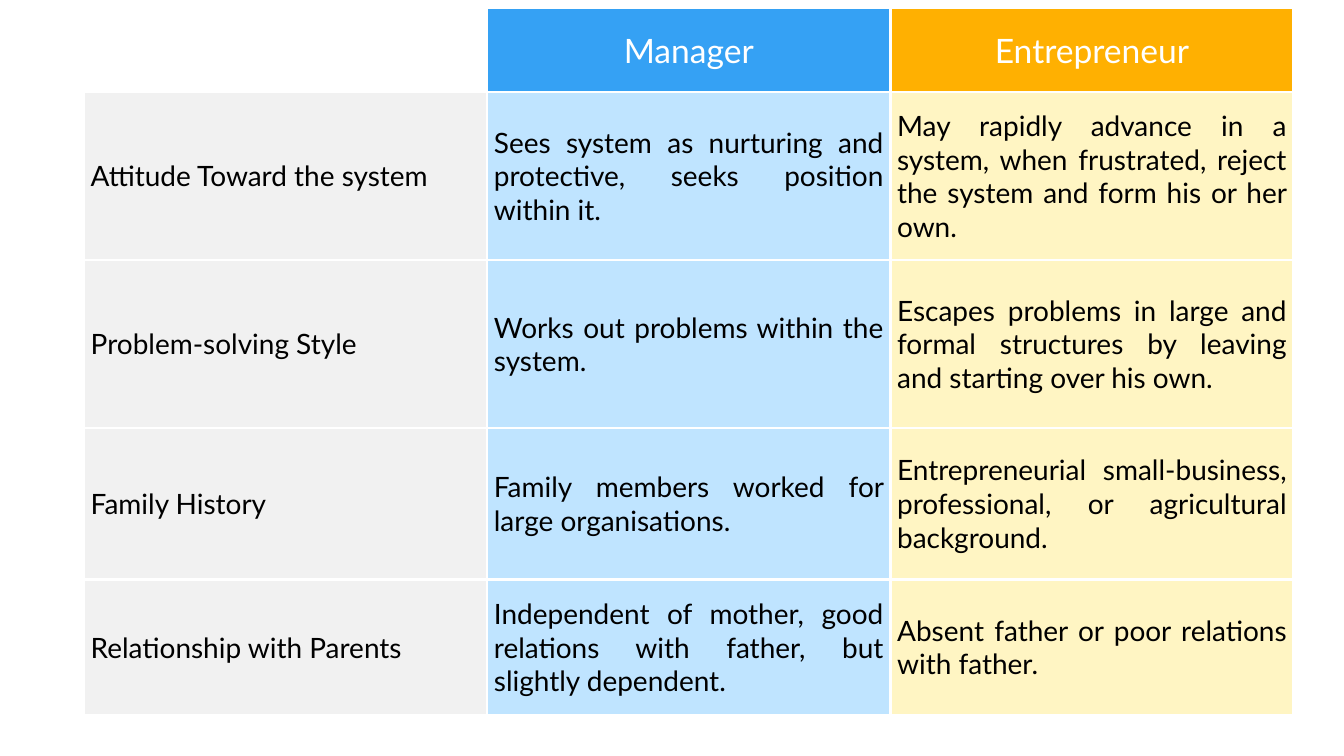
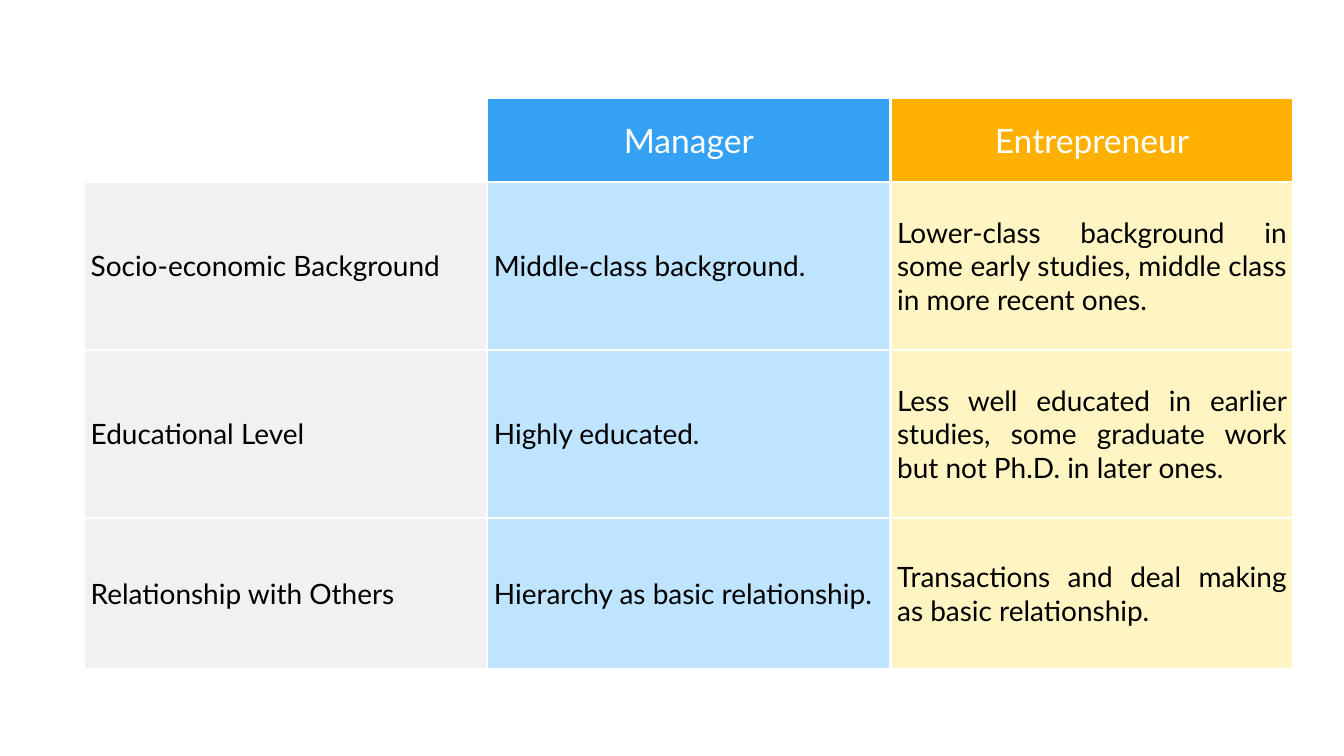
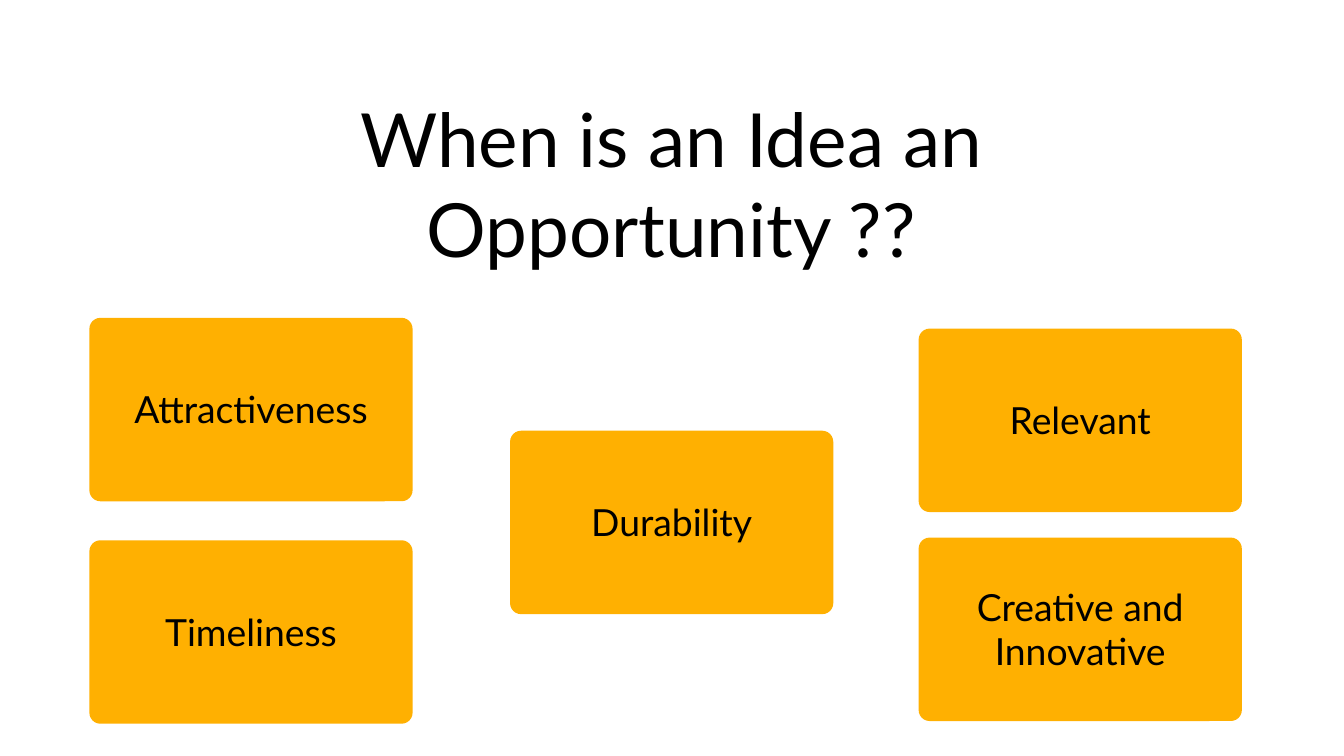
from lxml import etree
from pptx import Presentation
from pptx.dml.color import RGBColor
from pptx.enum.shapes import MSO_SHAPE
from pptx.enum.text import MSO_ANCHOR, MSO_AUTO_SIZE, PP_ALIGN
from pptx.oxml.ns import qn
from pptx.util import Inches, Pt

CENTER, JUSTIFY = PP_ALIGN.CENTER, PP_ALIGN.JUSTIFY
MIDDLE, TOP = MSO_ANCHOR.MIDDLE, MSO_ANCHOR.TOP
ROUNDED = MSO_SHAPE.ROUNDED_RECTANGLE
NO_AUTOFIT = MSO_AUTO_SIZE.NONE
TITLE_ONLY, BLANK = 5, 6

FONT = "Lato"
COLORS = {
    "white": "FFFFFF",
    "black": "000000",
    "blue": "35A1F4",
    "amber": "FFB001",
    "pale_grey": "F1F1F1",
    "pale_blue": "BFE4FF",
    "pale_amber": "FFF5C3",
}

HEADINGS = [(None, None), ("Manager", "blue"), ("Entrepreneur", "amber")]
COLUMN_FILLS = ["pale_grey", "pale_blue", "pale_amber"]
COLUMN_WIDTH = 6
HEADING_HEIGHT = 1.25
BORDER_POINTS = 3

# Each row: height, trait, manager, entrepreneur
PERSONAL_TRAITS = [
    (2.5, "Attitude Toward the system",
     "Sees system as nurturing and protective, seeks position within it.",
     "May rapidly advance in a system, when frustrated, reject the system "
     "and form his or her own."),
    (2.5, "Problem-solving Style",
     "Works out problems within the system.",
     "Escapes problems in large and formal structures by leaving and "
     "starting over his own."),
    (2.25, "Family History",
     "Family members worked for large organisations.",
     "Entrepreneurial small-business, professional, or agricultural background."),
    (2.02, "Relationship with Parents",
     "Independent of mother, good relations with father, but slightly dependent.",
     "Absent father or poor relations with father."),
]
SOCIAL_TRAITS = [
    (2.5, "Socio-economic Background",
     "Middle-class background.",
     "Lower-class background in some early studies, middle class in more "
     "recent ones."),
    (2.5, "Educational Level",
     "Highly educated.",
     "Less well educated in earlier studies, some graduate work but not "
     "Ph.D. in later ones."),
    (2.25, "Relationship with Others",
     "Hierarchy as basic relationship.",
     "Transactions and deal making as basic relationship."),
]

CARD_SIZE = (4.81, 2.73)
CRITERIA = [
    ("Attractiveness", 1.33, 4.73),
    ("Timeliness", 1.33, 8.04),
    ("Durability", 7.59, 6.41),
    ("Relevant", 13.67, 4.89),
    ("Creative and Innovative", 13.67, 8),
]


def rgb(color):
    return RGBColor.from_string(COLORS[color])


def write(frame, text, size, color="black", align=CENTER, leading=None):
    paragraph = frame.paragraphs[0]
    paragraph.alignment = align
    if leading:
        paragraph.line_spacing = Pt(leading)
    run = paragraph.add_run()
    run.text = text
    run.font.name = FONT
    run.font.size = Pt(size)
    run.font.bold = False
    run.font.color.rgb = rgb(color)


def set_insets(frame, side):
    frame.margin_left = frame.margin_right = Inches(side)
    frame.margin_top = frame.margin_bottom = 0


def add_borders(cell):
    properties = cell._tc.get_or_add_tcPr()
    for edge in ("a:lnL", "a:lnR", "a:lnT", "a:lnB"):
        line = etree.SubElement(properties, qn(edge), w=str(Pt(BORDER_POINTS)))
        fill = etree.SubElement(line, qn("a:solidFill"))
        etree.SubElement(fill, qn("a:srgbClr"), val=COLORS["white"])


def format_cell(cell, text, fill, **text_format):
    add_borders(cell)
    cell.vertical_anchor = MIDDLE
    if text is None:
        cell.fill.background()
        return
    cell.fill.solid()
    cell.fill.fore_color.rgb = rgb(fill)
    write(cell.text_frame, text, **text_format)


def add_comparison(slide, left, top, traits):
    heights = [HEADING_HEIGHT] + [trait[0] for trait in traits]
    columns = len(HEADINGS)
    table = slide.shapes.add_table(
        len(heights), columns, Inches(left), Inches(top),
        Inches(COLUMN_WIDTH * columns), Inches(sum(heights))).table
    table.first_row = table.horz_banding = False
    for column in table.columns:
        column.width = Inches(COLUMN_WIDTH)
    for row, height in zip(table.rows, heights):
        row.height = Inches(height)

    for column, (heading, fill) in enumerate(HEADINGS):
        format_cell(table.cell(0, column), heading, fill, size=36, color="white")
    for row, (_, *texts) in enumerate(traits, start=1):
        for column, (text, fill) in enumerate(zip(texts, COLUMN_FILLS)):
            format_cell(table.cell(row, column), text, fill, size=30, align=JUSTIFY)


def add_title(slide, text, left, top, width, height):
    title = slide.shapes.title
    title.left, title.top = Inches(left), Inches(top)
    title.width, title.height = Inches(width), Inches(height)
    frame = title.text_frame
    frame.word_wrap = True
    frame.auto_size = NO_AUTOFIT
    frame.vertical_anchor = TOP
    set_insets(frame, 0)
    write(frame, text, size=80, leading=96)


def add_card(slide, text, left, top):
    width, height = CARD_SIZE
    card = slide.shapes.add_shape(
        ROUNDED, Inches(left), Inches(top), Inches(width), Inches(height))
    card.adjustments[0] = 0.06
    card.shadow.inherit = False
    card.fill.solid()
    card.fill.fore_color.rgb = rgb("amber")
    card.line.fill.background()
    frame = card.text_frame
    frame.word_wrap = True
    frame.vertical_anchor = MIDDLE
    set_insets(frame, 0.34)
    write(frame, text, size=40, leading=46.8)


def main():
    deck = Presentation()
    deck.slide_width, deck.slide_height = Inches(20), Inches(11.25)

    for top, traits in ((0.12, PERSONAL_TRAITS), (1.46, SOCIAL_TRAITS)):
        slide = deck.slides.add_slide(deck.slide_layouts[BLANK])
        add_comparison(slide, 1.25, top, traits)

    slide = deck.slides.add_slide(deck.slide_layouts[TITLE_ONLY])
    add_title(slide, "When is an Idea an Opportunity ??", 2.29, 1.38, 15.4, 2.69)
    for criterion, left, top in CRITERIA:
        add_card(slide, criterion, left, top)

    deck.save("out.pptx")


if __name__ == "__main__":
    main()
